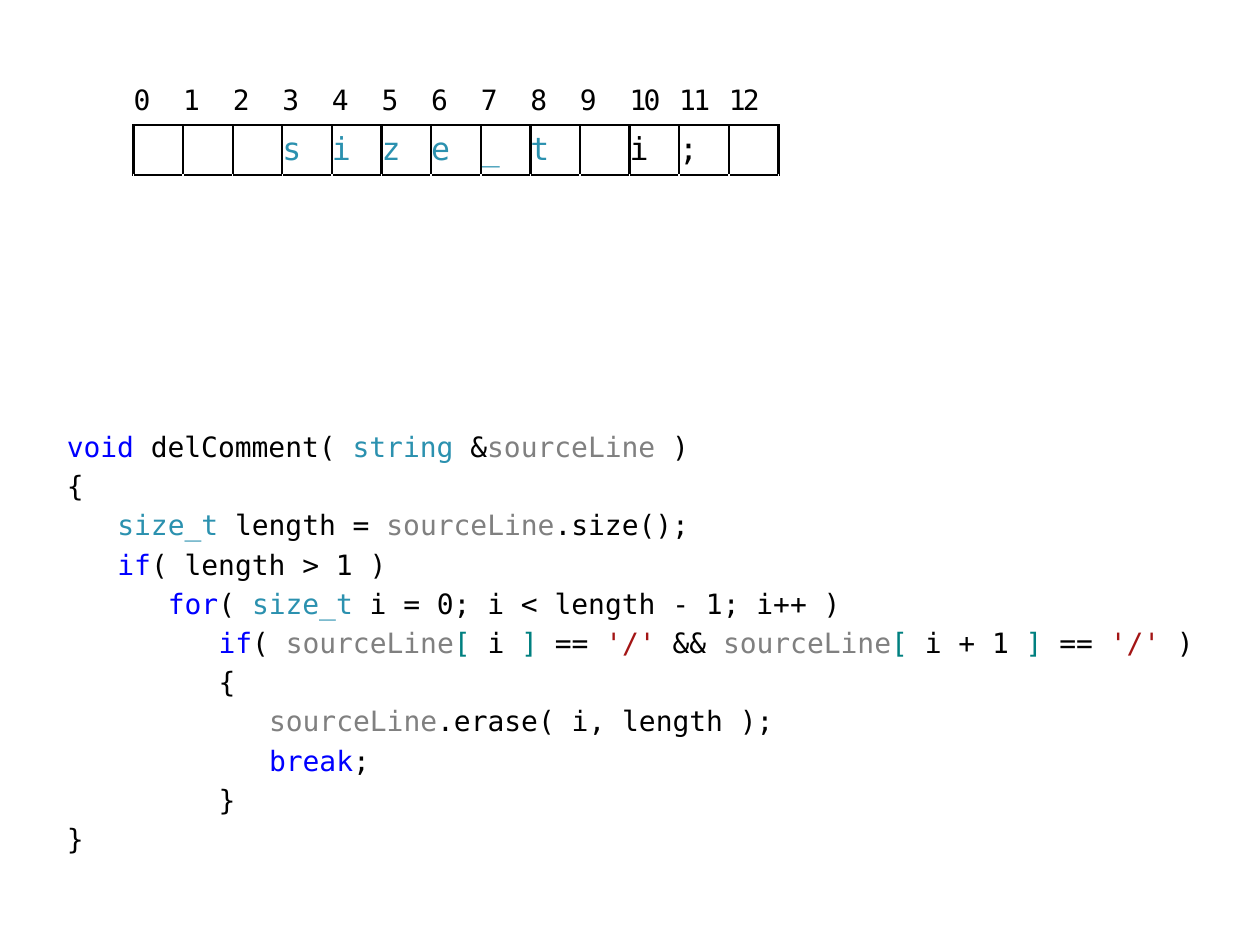
import pptx
import pptx.util
import pptx.dml.color
import pptx.enum.text
import pptx.oxml
import pptx.oxml.ns
import lxml.etree

Pt = pptx.util.Pt
RGB = pptx.dml.color.RGBColor
TEXT = pptx.enum.text

BLACK = RGB(0x00, 0x00, 0x00)
BLUE = RGB(0x00, 0x00, 0xFF)
TEAL = RGB(0x2B, 0x91, 0xAF)
GRAY = RGB(0x80, 0x80, 0x80)
GREEN = RGB(0x00, 0x80, 0x80)
RED = RGB(0xA3, 0x15, 0x15)
FONT = "DejaVu Sans Mono"

# Content: the character at each index of the line
CHARS = [*"   size_t i; "]
TYPE = range(3, 9)  # indexes of the type name

# Content: each code line as its depth and its coloured pieces
VAR = ("sourceLine", GRAY)
SIZE = ("size_t", TEAL)
OPEN, CLOSE = ("[", GREEN), ("]", GREEN)
SLASH = ("'/'", RED)
CODE = [
    (0, [("void ", BLUE), ("delComment( ", BLACK), ("string", TEAL),
         (" &", BLACK), VAR, (" )", BLACK)]),
    (0, [("{", BLACK)]),
    (1, [SIZE, (" length = ", BLACK), VAR, (".size();", BLACK)]),
    (1, [("if", BLUE), ("( length > 1 )", BLACK)]),
    (2, [("for", BLUE), ("( ", BLACK), SIZE,
         (" i = 0; i < length - 1; i++ )", BLACK)]),
    (3, [("if", BLUE), ("( ", BLACK), VAR, OPEN, (" i ", BLACK), CLOSE,
         (" == ", BLACK), SLASH, (" && ", BLACK), VAR, OPEN,
         (" i + 1 ", BLACK), CLOSE, (" == ", BLACK), SLASH, (" )", BLACK)]),
    (3, [("{", BLACK)]),
    (4, [VAR, (".erase( i, length );", BLACK)]),
    (4, [("break", BLUE), (";", BLACK)]),
    (3, [("}", BLACK)]),
    (0, [("}", BLACK)]),
]

# Layout, in points
CELL = 28.36
STEP = 28.9  # one indent: three characters
GRID = (76.3, 43.2)
BODY = dict(left=Pt(33.84), top=Pt(241.9), width=Pt(652.3), height=Pt(254.9))
FRAME = dict(margin_left=Pt(4.3), margin_right=Pt(2.9), margin_top=Pt(3.6),
             margin_bottom=Pt(3.6), word_wrap=True,
             auto_size=TEXT.MSO_AUTO_SIZE.NONE,
             vertical_anchor=TEXT.MSO_ANCHOR.TOP)
INNER = dict(margin_left=0, margin_right=0, margin_top=0, margin_bottom=0,
             vertical_anchor=TEXT.MSO_ANCHOR.MIDDLE)
EDGES = ["B", "LRTB", "T"]  # ruled sides of the cells in each row


def put(obj, vals):
    for key, val in vals.items():
        setattr(obj, key, val)


def add_run(par, text, size, color):
    run = par.add_run()
    run.text = text
    put(run.font, dict(name=FONT, size=Pt(size)))
    run.font.color.rgb = color
    return run


def rule(cell, sides):
    props = cell._tc.get_or_add_tcPr()
    for side in sides:
        props.append(pptx.oxml.parse_xml(
            f'<a:ln{side} {pptx.oxml.ns.nsdecls("a")} w="{Pt(1.5)}">'
            f'<a:solidFill><a:srgbClr val="{BLACK}"/></a:solidFill>'
            f'</a:ln{side}>'))


deck = pptx.Presentation()
put(deck, dict(slide_width=Pt(720), slide_height=Pt(540)))
slide = deck.slides.add_slide(deck.slide_layouts[1])
title = slide.shapes.title.element
title.getparent().remove(title)

# Source code
body = slide.placeholders[1]
put(body, BODY)
frame = body.text_frame
put(frame, FRAME)
for num, (depth, parts) in enumerate(CODE):
    par = frame.add_paragraph() if num else frame.paragraphs[0]
    props = par._p.get_or_add_pPr()
    props.set("marL", str(Pt(depth * STEP)))
    props.set("indent", "0")
    lxml.etree.SubElement(props, pptx.oxml.ns.qn("a:buNone"))
    for text, color in parts:
        add_run(par, text, 16, color)

# Index row, character row and empty row
count = len(CHARS)
table = slide.shapes.add_table(
    len(EDGES), count, Pt(GRID[0]), Pt(GRID[1]),
    Pt(count * CELL), Pt(len(EDGES) * CELL)).table
put(table, dict(first_row=False, horz_banding=False))
for col in table.columns:
    col.width = Pt(CELL)
for row, sides in zip(table.rows, EDGES):
    row.height = Pt(CELL)
    for cell in row.cells:
        put(cell, INNER)
        rule(cell, sides)
        cell.fill.background()
        cell.text_frame.paragraphs[0].font.size = Pt(16)
for pos, char in enumerate(CHARS):
    head, slot = (table.cell(row, pos).text_frame.paragraphs[0]
                  for row in (0, 1))
    run = add_run(head, str(pos), 16, BLACK)
    run.font._element.set("spc", "-150")
    if char.strip():
        add_run(slot, char, 18, TEAL if pos in TYPE else BLACK)

deck.save("out.pptx")
